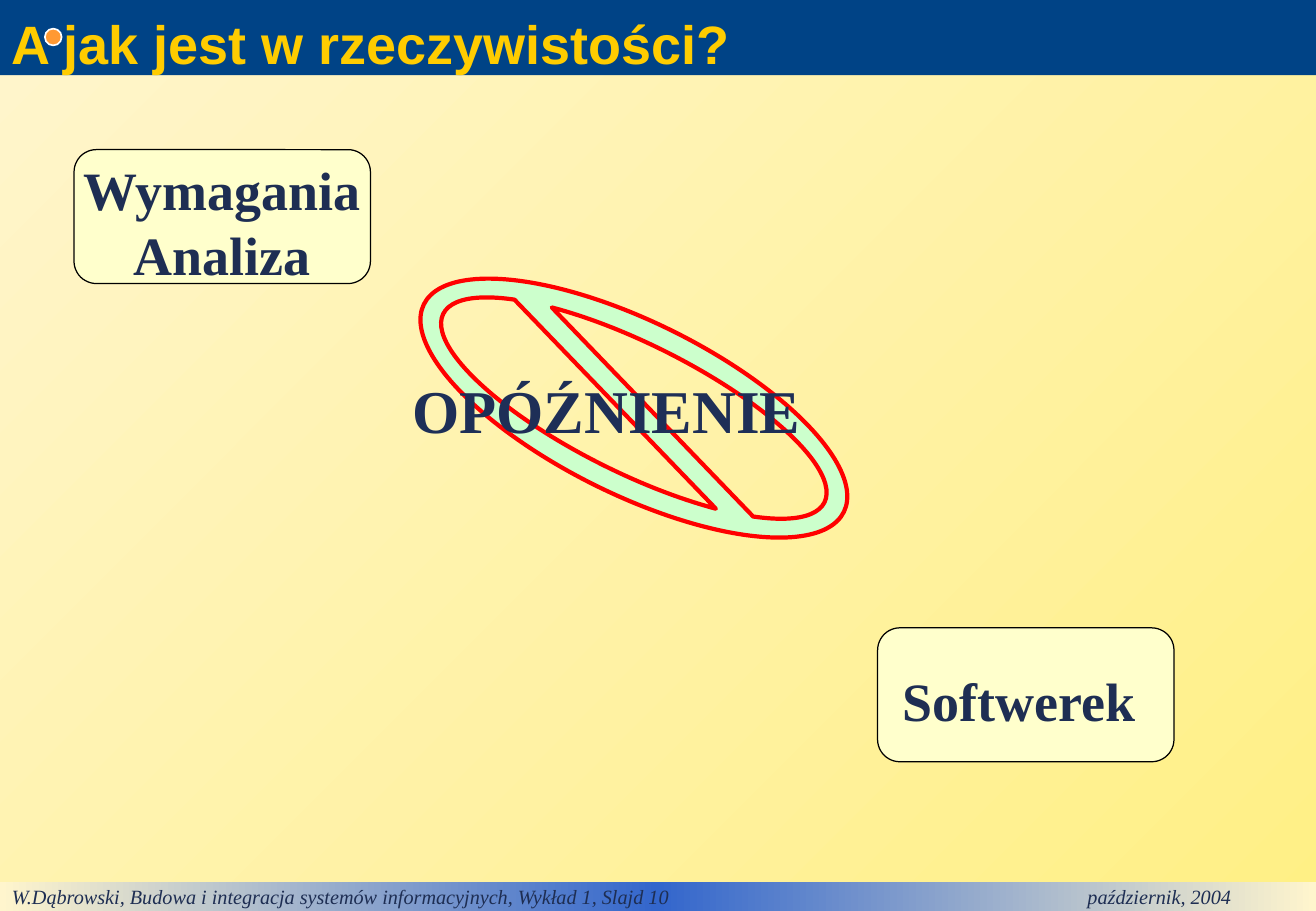
import copy

from pptx import Presentation
from pptx import util as u
from pptx.dml import color
from pptx.enum import shapes, text
from pptx.oxml import parse_xml
from pptx.oxml.ns import nsdecls

SERIF, SANS = "Times New Roman", "Arial"
NAVY, CREAM = "1E2E53", "FFF5CD"
SHAPE = shapes.MSO_SHAPE
ALIGN = text.PP_ALIGN
ANCHOR = text.MSO_ANCHOR


def rgb(value):
    return color.RGBColor.from_string(value)


class SlideBuilder:
    width, height = 27.53, 19.05
    side, edge = 0.25, 0.13

    def __init__(self, prs):
        prs.slide_width, prs.slide_height = u.Cm(self.width), u.Cm(self.height)
        self.s = prs.slides.add_slide(prs.slide_layouts[5])

    def gradient(self, fill, colours, angle):
        """Spread the colours evenly; the angle runs counter-clockwise."""
        fill.gradient()
        fill.gradient_angle = angle
        first = fill.gradient_stops[0]._gs
        for _ in colours[2:]:
            first.addnext(copy.deepcopy(first))
        for i, (stop, value) in enumerate(zip(fill.gradient_stops, colours)):
            stop.color.rgb = rgb(value)
            stop.position = i / (len(colours) - 1)

    def set_text(self, sp, words, size, colour=NAVY, font=SERIF, bold=True,
                 italic=False, align=ALIGN.LEFT, anchor=ANCHOR.TOP,
                 top=None, wrap=False, tab=None):
        tf = sp.text_frame
        tf.text = words
        tf.word_wrap = wrap
        tf.auto_size = text.MSO_AUTO_SIZE.NONE
        tf.vertical_anchor = anchor
        tf.margin_left = tf.margin_right = u.Cm(self.side)
        tf.margin_top = u.Cm(self.edge if top is None else top)
        tf.margin_bottom = u.Cm(self.edge)
        p = tf.paragraphs[0]
        p.alignment = align
        if tab:
            p._p.get_or_add_pPr().append(parse_xml(
                f'<a:tabLst {nsdecls("a")}><a:tab pos="{u.Cm(tab)}" algn="l"/></a:tabLst>'))
        for r in p.runs:
            r.font.name, r.font.size = font, u.Pt(size)
            r.font.bold, r.font.italic = bold, italic
            r.font.color.rgb = rgb(colour)

    def background(self, colours, angle):
        self.gradient(self.s.background.fill, colours, angle)

    def title(self, words, height, fill, colour):
        sp = self.s.shapes.title
        sp.left, sp.top = u.Cm(0), u.Cm(0)
        sp.width, sp.height = u.Cm(self.width), u.Cm(height)
        sp.fill.solid()
        sp.fill.fore_color.rgb = rgb(fill)
        self.set_text(sp, words, 32, colour, SANS, top=0.22, wrap=True)

    def shape(self, kind, left, top, width, height, fill=None, line=None, weight=1):
        sp = self.s.shapes.add_shape(kind, *map(u.Cm, (left, top, width, height)))
        sp.shadow.inherit = False
        if fill:
            sp.fill.solid()
            sp.fill.fore_color.rgb = rgb(fill)
        if line:
            sp.line.color.rgb = rgb(line)
            sp.line.width = u.Pt(weight)
        else:
            sp.line.fill.background()
        return sp

    def stage(self, words, left, top):
        """Rounded box naming one stage of the project."""
        sp = self.shape(SHAPE.FLOWCHART_ALTERNATE_PROCESS, left, top, 6.2, 2.8,
                        "FFFFCC", "000000", 0.75)
        self.set_text(sp, words, 32, align=ALIGN.CENTER, anchor=ANCHOR.MIDDLE, top=0.33)

    def label(self, words, left, top, width, height, size, colour):
        sp = self.s.shapes.add_textbox(*map(u.Cm, (left, top, width, height)))
        self.set_text(sp, words, size, colour)

    def footer(self, words, top, colours, tab):
        sp = self.shape(SHAPE.RECTANGLE, 0, top, self.width, self.height - top)
        self.gradient(sp.fill, colours, 180)
        self.set_text(sp, words, 12, bold=False, italic=True, top=0.05, wrap=True, tab=tab)


def main():
    prs = Presentation()
    b = SlideBuilder(prs)
    b.background(["FFF085", CREAM], 135)
    b.footer("W.Dąbrowski, Budowa i integracja systemów informacyjnych, "
             "Wykład 1, Slajd 10\tpaździernik, 2004",
             18.44, [CREAM, "3366CC", CREAM], 22.5)
    b.title("A jak jest w rzeczywistości?", 1.57, "004386", "FFCC00")
    b.shape(SHAPE.OVAL, 0.94, 0.6, 0.35, 0.35, "FF9933", "FFFFFF")
    b.stage("Wymagania\vAnaliza", 1.55, 3.13)
    b.stage("Softwerek ", 18.36, 13.13)
    ban = b.shape(SHAPE.NO_SYMBOL, 8.36, 6.73, 9.8, 3.61, "CCFFCC", "FF0000", 2.5)
    ban.adjustments[0] = 0.125
    ban.rotation = 26.3
    b.label("OPÓŹNIENIE", 8.38, 7.67, 8.61, 1.78, 36, "1E2F57")
    prs.save("out.pptx")


if __name__ == "__main__":
    main()
